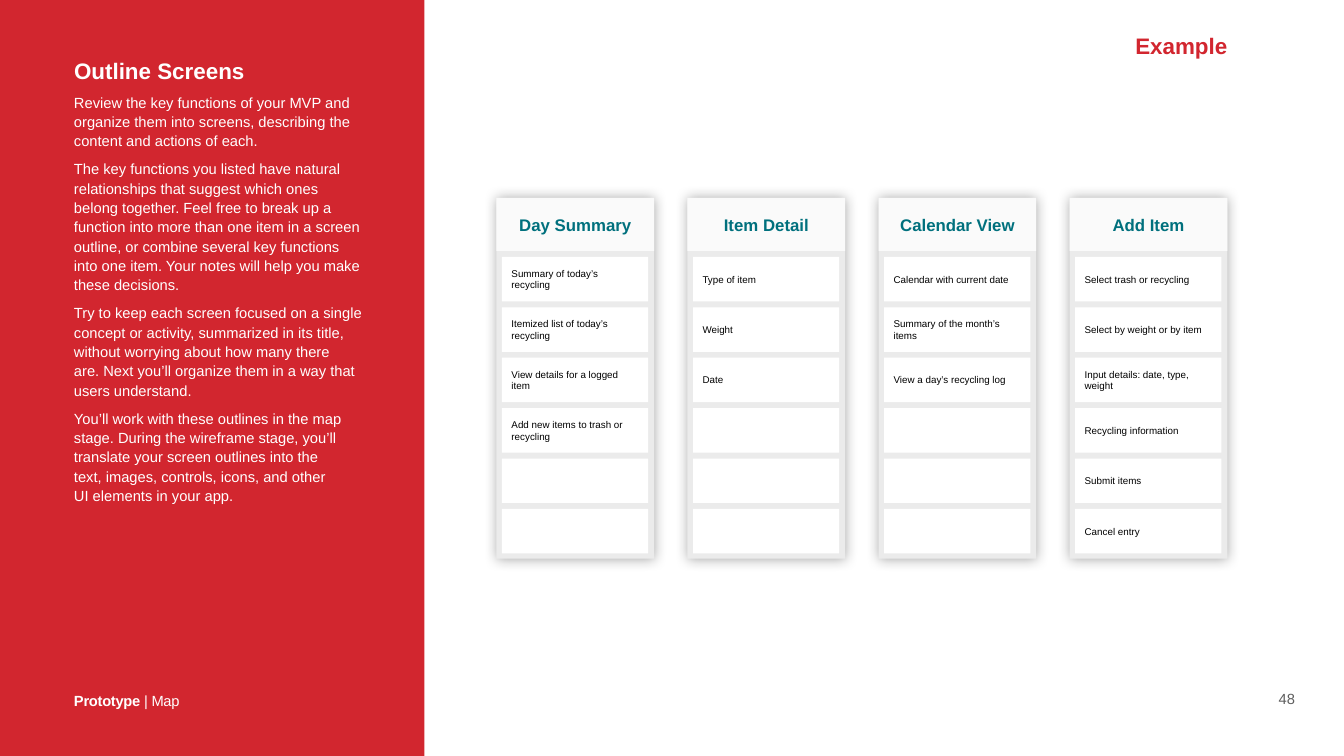
from lxml.etree import SubElement
from pptx import Presentation
from pptx.dml.color import RGBColor
from pptx.enum.shapes import MSO_SHAPE as SHAPE
from pptx.enum.text import MSO_ANCHOR as ANCHOR, MSO_AUTO_SIZE as FIT, PP_ALIGN as ALIGN
from pptx.oxml.ns import qn
from pptx.util import Cm, Pt

RED = RGBColor(0xD2, 0x26, 0x2F)
TEAL = RGBColor(0x00, 0x70, 0x7D)
WHITE = RGBColor(0xFF, 0xFF, 0xFF)
BLACK = RGBColor(0x00, 0x00, 0x00)
GRAY = RGBColor(0x5E, 0x5E, 0x5E)
CARD = RGBColor(0xEB, 0xEB, 0xEB)
HEADER = RGBColor(0xFA, 0xFA, 0xFA)

COLUMN_LEFT, COLUMN_TOP, COLUMN_STEP = 25.02, 9.97, 9.63
COLUMN_W, COLUMN_H, HEADER_H = 7.95, 18.19, 2.67
ROW_TOP, ROW_STEP, ROW_W, ROW_H, ROW_INSET = 12.95, 2.54, 7.37, 2.24, 0.28
ROW_COUNT = 6

SCREENS = {
    "Day Summary": [
        "Summary of today’s recycling",
        "Itemized list of today’s recycling",
        "View details for a logged item",
        "Add new items to trash or recycling",
    ],
    "Item Detail": ["Type of item", "Weight", "Date"],
    "Calendar View": [
        "Calendar with current date",
        "Summary of the month’s items",
        "View a day’s recycling log",
    ],
    "Add Item": [
        "Select trash or recycling",
        "Select by weight or by item",
        "Input details: date, type, weight",
        "Recycling information",
        "Submit items",
        "Cancel entry",
    ],
}

GUIDANCE = [
    "Review the key functions of your MVP and organize them into screens, "
    "describing the content and actions of each.",
    "The key functions you listed have natural relationships that suggest which "
    "ones belong together. Feel free to break up a function into more than one "
    "item in a screen outline, or combine several key functions into one item. "
    "Your notes will help you make these decisions.",
    "Try to keep each screen focused on a single concept or activity, summarized "
    "in its title, without worrying about how many there\n"
    "are. Next you’ll organize them in a way that users understand.",
    "You’ll work with these outlines in the map stage. During the wireframe "
    "stage, you’ll translate your screen outlines into the\n"
    "text, images, controls, icons, and other\n"
    "UI elements in your app.",
]


class Deck:
    font = "Arial"

    def __init__(self, width, height):
        self.prs = Presentation()
        self.prs.slide_width, self.prs.slide_height = Cm(width), Cm(height)
        self.s = self.prs.slides.add_slide(self.prs.slide_layouts[5])

    def frame(self, sp, inset=0.2, anchor=ANCHOR.TOP, wrap=True):
        tf = sp.text_frame
        tf.auto_size = FIT.NONE
        tf.word_wrap = wrap
        tf.vertical_anchor = anchor
        tf.margin_left = tf.margin_right = Cm(inset)
        tf.margin_top = tf.margin_bottom = Cm(inset)
        return tf

    def run(self, p, text, size, color, bold=False, spacing=None):
        for i, line in enumerate(text.split("\n")):
            if i:
                p.add_line_break()
            r = p.add_run()
            r.text = line
            r.font.name, r.font.size, r.font.bold = self.font, Pt(size), bold
            r.font.color.rgb = color
            if spacing is not None:
                r.font._element.set("spc", str(spacing))

    def title(self, box, text, size, color):
        sp = self.s.shapes.title
        sp.left, sp.top, sp.width, sp.height = map(Cm, box)
        p = self.frame(sp).paragraphs[0]
        p.alignment = ALIGN.LEFT
        self.run(p, text, size, color, True)
        sp._element.getparent().append(sp._element)

    def text(self, box, paragraphs, size, color, line=1.0, before=0,
             align=ALIGN.LEFT, anchor=ANCHOR.TOP, wrap=True, spacing=None):
        tf = self.frame(self.s.shapes.add_textbox(*map(Cm, box)), anchor=anchor, wrap=wrap)
        for i, runs in enumerate(paragraphs):
            p = tf.add_paragraph() if i else tf.paragraphs[0]
            p.alignment, p.line_spacing = align, line
            if i:
                p.space_before = Pt(before)
            for text, bold in runs:
                self.run(p, text, size, color, bold, spacing)

    def rect(self, box, fill):
        sp = self.s.shapes.add_shape(SHAPE.RECTANGLE, *map(Cm, box))
        sp.shadow.inherit = False
        sp.fill.solid()
        sp.fill.fore_color.rgb = fill
        sp.line.fill.background()
        return sp

    def glow_rect(self, box, fill):
        effects = self.rect(box, fill)._element.spPr.find(qn("a:effectLst"))
        shadow = SubElement(effects, qn("a:outerShdw"), blurRad=str(Pt(19)),
                            dist="0", dir="5400000", rotWithShape="0")
        color = SubElement(shadow, qn("a:srgbClr"), val=str(BLACK))
        SubElement(color, qn("a:alpha"), val="32000")

    def label(self, box, fill, text, size, color, inset, bold=False, align=ALIGN.LEFT):
        sp = self.rect(box, fill)
        if text:
            p = self.frame(sp, inset, ANCHOR.MIDDLE).paragraphs[0]
            p.alignment = align
            self.run(p, text, size, color, bold)

    def screen(self, left, name, items):
        self.glow_rect((left, COLUMN_TOP, COLUMN_W, COLUMN_H), CARD)
        self.label((left, COLUMN_TOP, COLUMN_W, HEADER_H), HEADER, name, 24, TEAL,
                   0.53, True, ALIGN.CENTER)
        for row in range(ROW_COUNT):
            text = items[row] if row < len(items) else ""
            box = (left + ROW_INSET, ROW_TOP + row * ROW_STEP, ROW_W, ROW_H)
            self.label(box, WHITE, text, 14, BLACK, 0.48)


def main():
    deck = Deck(67.74, 38.1)
    deck.rect((0, 0, 21.39, 38.1), RED)
    deck.title((3.53, 2.69, 14.99, 1.7), "Outline Screens", 32, WHITE)
    deck.text((3.53, 4.42, 14.99, 21.03), [[(text, False)] for text in GUIDANCE],
              21, WHITE, line=1.1, before=12)
    deck.text((3.53, 34.49, 5.72, 1.3), [[("Prototype", True), (" | Map", False)]],
              21, WHITE, line=1.2, wrap=False, spacing=-40)
    deck.text((64.24, 34.57, 1.24, 1.27), [[("48", False)]], 21, GRAY,
              align=ALIGN.CENTER, anchor=ANCHOR.BOTTOM, wrap=False)
    for column, (name, items) in enumerate(SCREENS.items()):
        deck.screen(COLUMN_LEFT + column * COLUMN_STEP, name, items)
    deck.text((57.02, 1.42, 5.08, 1.75), [[("Example", True)]], 32, RED,
              anchor=ANCHOR.MIDDLE, wrap=False)
    deck.prs.save("out.pptx")


if __name__ == "__main__":
    main()
